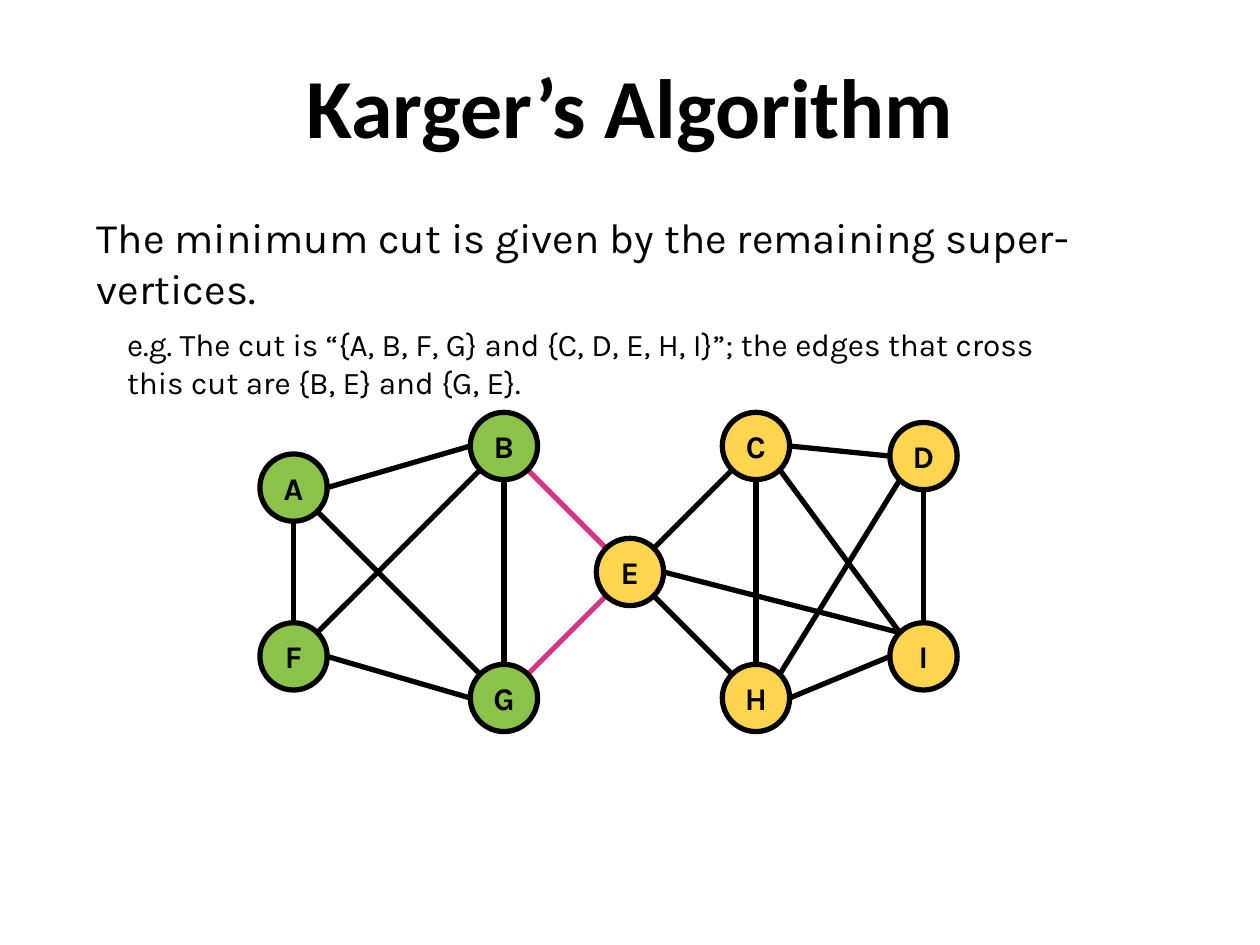
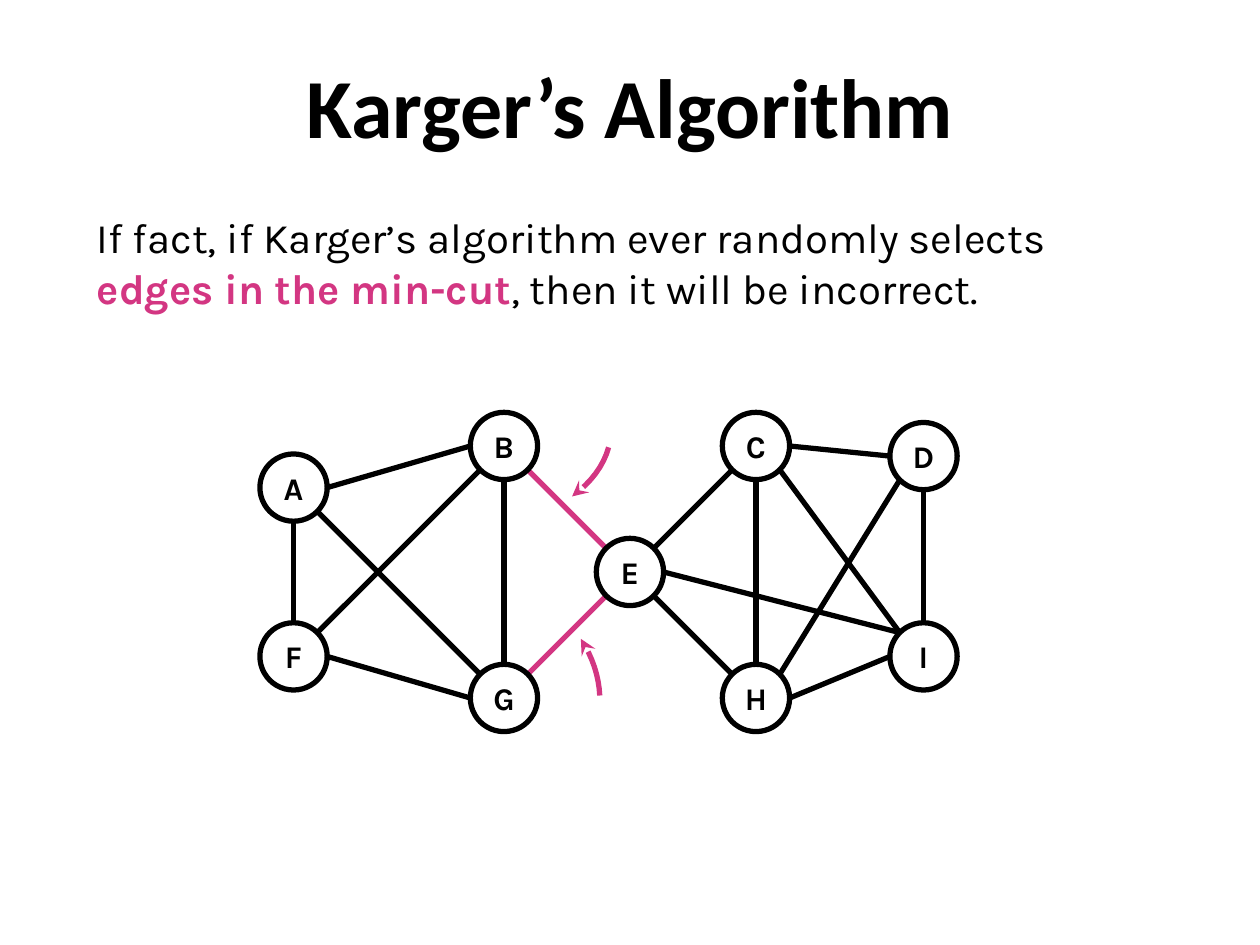
from math import cos, radians, sin

from lxml.etree import SubElement
from pptx import Presentation
from pptx.dml.color import RGBColor
from pptx.enum.shapes import MSO_CONNECTOR as Link, MSO_SHAPE as Shape
from pptx.enum.text import MSO_ANCHOR as Anchor, MSO_AUTO_SIZE as Fit, PP_ALIGN as Align
from pptx.oxml.ns import qn
from pptx.util import Inches, Pt

BLACK = RGBColor(0x00, 0x00, 0x00)
WHITE = RGBColor(0xFF, 0xFF, 0xFF)
PINK = RGBColor(0xD3, 0x36, 0x82)
GREEN = RGBColor(0x8B, 0xC3, 0x4A)
YELLOW = RGBColor(0xFF, 0xD5, 0x4F)

RADIUS = 0.267
NODES = {
    "A": (2.33, 3.87), "B": (4, 3.54), "C": (6, 3.54),
    "D": (7.33, 3.62), "E": (5, 4.54), "F": (2.33, 5.21),
    "G": (4, 5.54), "H": (6, 5.54), "I": (7.33, 5.21),
}
SITES = {name: 45 * turn for turn, name in enumerate("E SE S SW W NW N NE".split())}
EDGES = [
    "A SE G NW", "A E B W", "B S G N", "F E G W", "F N A S", "F NE B SW",
    "B SE E NW", "G NE E SW", "E SE H NW", "E NE C SW", "C E D W",
    "C S H N", "H NE D SW", "C SE I NW", "H E I W", "D S I N", "E E I NW",
]
CUT = ({"B", "E"}, {"G", "E"})
LEFT = "ABFG"


def write(frame, paras, size=18, font="Karla", bold=False, color=BLACK,
          align=Align.LEFT, anchor=Anchor.TOP, wrap=True):
    """Fill a frame; a paragraph is a list of (text, overrides) runs."""
    frame.auto_size = Fit.NONE
    frame.word_wrap = wrap
    frame.vertical_anchor = anchor
    frame.margin_left = frame.margin_right = Inches(0.1)
    frame.margin_top = frame.margin_bottom = Inches(0.1)
    for num, runs in enumerate(paras):
        para = frame.add_paragraph() if num else frame.paragraphs[0]
        para.alignment = align
        for text, over in runs:
            run = para.add_run()
            run.text = text
            run.font.name = font
            run.font.size = Pt(over.get("size", size))
            run.font.bold = over.get("bold", bold)
            run.font.color.rgb = over.get("color", color)


def stroke(item, color):
    """Give a shape or connector the common line width."""
    item.line.color.rgb = color
    item.line.width = Pt(3)


def site(name, side):
    """Return the point on a node's rim at a compass side."""
    x, y = NODES[name]
    turn = radians(SITES[side])
    return Inches(x + RADIUS * cos(turn)), Inches(y + RADIUS * sin(turn))


def add_edge(slide, edge):
    """Join two nodes, in pink if the edge crosses the cut."""
    head, out, tail, into = edge.split()
    line = slide.shapes.add_connector(Link.STRAIGHT, *site(head, out), *site(tail, into))
    stroke(line, PINK if {head, tail} in CUT else BLACK)
    SubElement(line._element.spPr, qn("a:effectLst"))


def add_node(slide, name, fill):
    """Draw one lettered vertex."""
    x, y = NODES[name]
    side = Inches(2 * RADIUS)
    node = slide.shapes.add_shape(
        Shape.OVAL, Inches(x - RADIUS), Inches(y - RADIUS), side, side)
    node.shadow.inherit = False
    node.fill.solid()
    node.fill.fore_color.rgb = fill
    stroke(node, BLACK)
    write(node.text_frame, [[(name, {})]], bold=True, align=Align.CENTER,
          anchor=Anchor.MIDDLE, wrap=False)


def add_graph(slide, left, right):
    """Draw the graph with one fill for each side of the cut."""
    for edge in EDGES:
        add_edge(slide, edge)
    for name in NODES:
        add_node(slide, name, left if name in LEFT else right)


def add_arrow(slide, start, bend, end, steps=8):
    """Draw a curved arrow along a quadratic curve."""
    spots = []
    for step in range(steps + 1):
        t = step / steps
        spots.append(tuple(
            Inches((1 - t) ** 2 * a + 2 * t * (1 - t) * b + t * t * c)
            for a, b, c in zip(start, bend, end)))
    path = slide.shapes.build_freeform(*spots[0])
    path.add_line_segments(spots[1:], close=False)
    arrow = path.convert_to_shape()
    arrow.shadow.inherit = False
    arrow.fill.background()
    stroke(arrow, PINK)
    SubElement(arrow._element.spPr.find(qn("a:ln")), qn("a:tailEnd"), type="stealth")


def add_slide(deck, paras):
    """Add a slide with the shared title and a body text; return both."""
    slide = deck.slides.add_slide(deck.slide_layouts[5])
    title = slide.shapes.title
    title.left, title.top = Inches(0), Inches(0.33)
    title.width, title.height = Inches(10), Inches(1.25)
    write(title.text_frame, [[("Karger’s Algorithm", {})]], size=48,
          font="Calibri", bold=True, align=Align.CENTER)
    body = slide.shapes.add_textbox(
        Inches(0.67), Inches(1.58), Inches(8.67), Inches(5.92))
    write(body.text_frame, paras, size=24)
    return slide, body.text_frame


def add_result(deck):
    """Build the slide that shows the cut found."""
    small = {"size": 18}
    slide, body = add_slide(deck, [
        [("The minimum cut is given by the remaining super-vertices.", {})],
        [("e.g. The cut is “{A, B, F, G} and {C, D, E, H, I}”; the edges that cross", small)],
        [("this cut are {B, E} and {G, E}.", small)],
    ])
    for para in body.paragraphs[1:]:
        para._p.get_or_add_pPr().set("marL", str(Inches(0.24)))
    body.paragraphs[1].space_before = Pt(7)
    add_graph(slide, GREEN, YELLOW)


def add_failure(deck):
    """Build the slide that points at the edges in the cut."""
    slide, _ = add_slide(deck, [
        [("If fact, if Karger’s algorithm ever randomly selects", {})],
        [("edges in the min-cut", {"bold": True, "color": PINK}),
         (", then it will be incorrect.", {})],
    ])
    add_graph(slide, WHITE, WHITE)
    add_arrow(slide, (4.83, 3.55), (4.77, 3.77), (4.54, 3.94))
    add_arrow(slide, (4.76, 5.52), (4.75, 5.29), (4.61, 5.07))


def main():
    """Build and save the deck."""
    deck = Presentation()
    deck.slide_width, deck.slide_height = Inches(10), Inches(7.5)
    add_result(deck)
    add_failure(deck)
    deck.save("out.pptx")


main()
